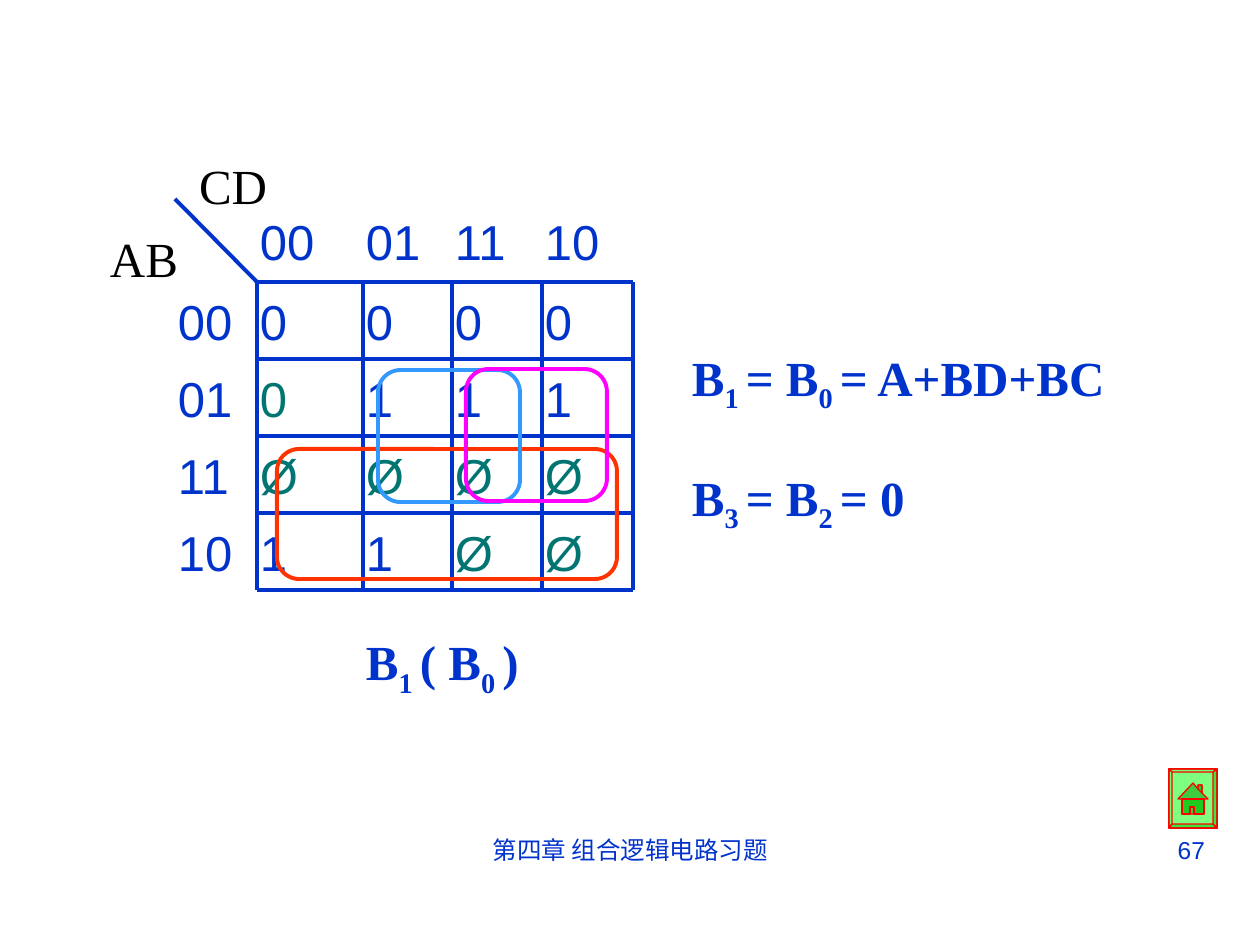
from lxml import etree
from pptx import Presentation
from pptx.dml.color import RGBColor
from pptx.enum.shapes import MSO_CONNECTOR, MSO_SHAPE
from pptx.enum.text import MSO_ANCHOR, PP_ALIGN
from pptx.oxml.ns import qn
from pptx.util import Pt

PX = 914400 / 126
STRAIGHT = MSO_CONNECTOR.STRAIGHT
ROUNDED = MSO_SHAPE.ROUNDED_RECTANGLE
TOP, MIDDLE = MSO_ANCHOR.TOP, MSO_ANCHOR.MIDDLE
LEFT, CENTER, RIGHT = PP_ALIGN.LEFT, PP_ALIGN.CENTER, PP_ALIGN.RIGHT
COLORS = {
    "blue": "0033CC", "teal": "007572", "black": "000000", "red": "FF3300",
    "sky": "3399FF", "magenta": "FF00FF", "outline": "FF0000",
    "green": "00FF00", "light": "66FF66", "shade": "00CC00", "dark": "009900",
}
CELL = {"name": "Arial", "size": Pt(28)}
AXIS = {"name": "Times New Roman", "size": Pt(28)}
FORMULA = {"name": "Times New Roman", "size": Pt(28), "bold": True}
FOOTER = {"name": "Arial", "size": Pt(14)}


def emu(*lengths):
    """Turn px lengths into EMU."""
    return [round(length * PX) for length in lengths]


def color(name):
    """Look up a colour by name."""
    return RGBColor.from_string(COLORS[name])


def add_text(page, box, parts, style, ink="blue", align=LEFT, anchor=TOP, inset=(13, 6)):
    """Place one line of text whose every second part is a subscript."""
    frame = page.shapes.add_textbox(*emu(*box)).text_frame
    across, down = emu(*inset)
    layout = {"word_wrap": True, "vertical_anchor": anchor, "margin_left": across,
              "margin_right": across, "margin_top": down, "margin_bottom": down}
    for key, value in layout.items():
        setattr(frame, key, value)
    para = frame.paragraphs[0]
    para.alignment = align
    for index, part in enumerate(parts):
        span = para.add_run()
        span.text = part
        for key, value in style.items():
            setattr(span.font, key, value)
        span.font.color.rgb = color(ink)
        if index % 2:
            span._r.get_or_add_rPr().set("baseline", "-25000")


def add_line(page, start, end):
    """Draw one blue rule of the map."""
    line = page.shapes.add_connector(STRAIGHT, *emu(*start, *end))
    line.line.color.rgb = color("blue")
    line.line.width = Pt(2.25)
    etree.SubElement(line._element.spPr, qn("a:effectLst"))


def add_karnaugh_map(page, box):
    """Build the map with its axis names, codes, cells and rules."""
    left, top, width, height = box
    columns = [left + step for step in (78, 160, 266, 355, 445, width)]
    rows = [top + 50] + [top + height - 77 * step for step in range(4, -1, -1)]
    for name, x, y in (("AB", 0, 73), ("CD", 89, 0)):
        add_text(page, (left + x, top + y, 155, 72), [name], AXIS, "black")
    entries = [
        ["", "00", "01", "11", "10"],
        ["00", "0", "0", "0", "0"],
        ["01", "0", "1", "1", "1"],
        ["11", "Ø", "Ø", "Ø", "Ø"],
        ["10", "1", "1", "Ø", "Ø"],
    ]
    for row, values in enumerate(entries):
        for column, value in enumerate(values):
            if value:
                x, y = columns[column], rows[row]
                area = (x, y, columns[column + 1] - x, rows[row + 1] - y)
                ink = "teal" if value == "Ø" or (row, column) == (2, 1) else "blue"
                add_text(page, area, [value], CELL, ink, anchor=MIDDLE, inset=(3, 3))
    add_line(page, (columns[0], rows[0]), (columns[1], rows[1]))
    for x in columns[1:]:
        add_line(page, (x, rows[1]), (x, rows[-1]))
    for y in rows[1:]:
        add_line(page, (columns[1], y), (columns[-1], y))


def add_groupings(page, box):
    """Circle the groups of ones and don't-care cells."""
    left, top = box[:2]
    loops = [("red", 180, 300, 340, 130), ("sky", 281, 221, 142, 132),
             ("magenta", 369, 220, 141, 132)]
    for ink, x, y, width, height in loops:
        loop = page.shapes.add_shape(ROUNDED, *emu(left + x, top + y, width, height))
        loop.shadow.inherit = False
        loop.adjustments[0] = 0.17
        loop.fill.background()
        loop.line.color.rgb = color(ink)
        loop.line.width = Pt(2.25)


def add_formulas(page, box):
    """Stack the two resulting equations."""
    left, top, width, height = box
    add_text(page, (left, top, width, height),
             ["B", "1 ", "= B", "0 ", "= A+BD+BC"], FORMULA)
    add_text(page, (left, top + 120, width, height),
             ["B", "3 ", "= B", "2 ", "= 0"], FORMULA)


def add_home_button(page, box):
    """Draw the bevelled button with a house on it."""
    left, top, width, height = box
    outer = [(0, 0), (width, 0), (width, height), (0, height)]
    inner = [(3, 3), (width - 4, 3), (width - 4, height - 4), (3, height - 4)]
    pieces = [("green", outer)]
    for side, ink in enumerate(("light", "shade", "shade", "light")):
        after = (side + 1) % 4
        pieces.append((ink, [outer[side], outer[after], inner[after], inner[side]]))
    chimney = [(29, 20), (29, 16), (33, 16), (33, 24)]
    body = [(21, 38), (25, 38), (25, 45), (35, 45), (35, 30), (13, 30), (13, 45), (21, 45)]
    house = [(24, 14), *chimney, (39, 30), (35, 30), (35, 45), (13, 45), (13, 30), (9, 30)]
    pieces += [("dark", house), ("shade", chimney), ("shade", body)]
    for ink, points in pieces:
        builder = page.shapes.build_freeform(*points[0], scale=PX)
        builder.add_line_segments(points[1:], close=True)
        piece = builder.convert_to_shape(*emu(left, top))
        piece.shadow.inherit = False
        piece.fill.solid()
        piece.fill.fore_color.rgb = color(ink)
        piece.line.color.rgb = color("outline")
        piece.line.width = Pt(0.75)
        tint = piece._element.spPr.find(qn("a:solidFill"))[0]
        etree.SubElement(tint, qn("a:alpha"), val="50000")


def add_footer(page, box):
    """Place the chapter title and the page number."""
    left, top, width, height = box
    add_text(page, (left, top, 399, height), ["第四章 组合逻辑电路习题"], FOOTER, align=CENTER)
    add_text(page, (left + width - 315, top, 315, height), ["67"], FOOTER, align=RIGHT)


def main():
    """Build the deck and save it."""
    deck = Presentation()
    deck.slide_width, deck.slide_height = emu(1260, 945)
    page = deck.slides.add_slide(deck.slide_layouts[6])
    map_box = (97, 149, 536, 441)
    add_home_button(page, (1169, 769, 48, 59))
    add_footer(page, (431, 829, 787, 66))
    add_karnaugh_map(page, map_box)
    add_formulas(page, (679, 341, 469, 79))
    add_text(page, (353, 626, 217, 79), ["B", "1 ", "( B", "0 ", ")"], FORMULA)
    add_groupings(page, map_box)
    deck.save("out.pptx")


if __name__ == "__main__":
    main()
